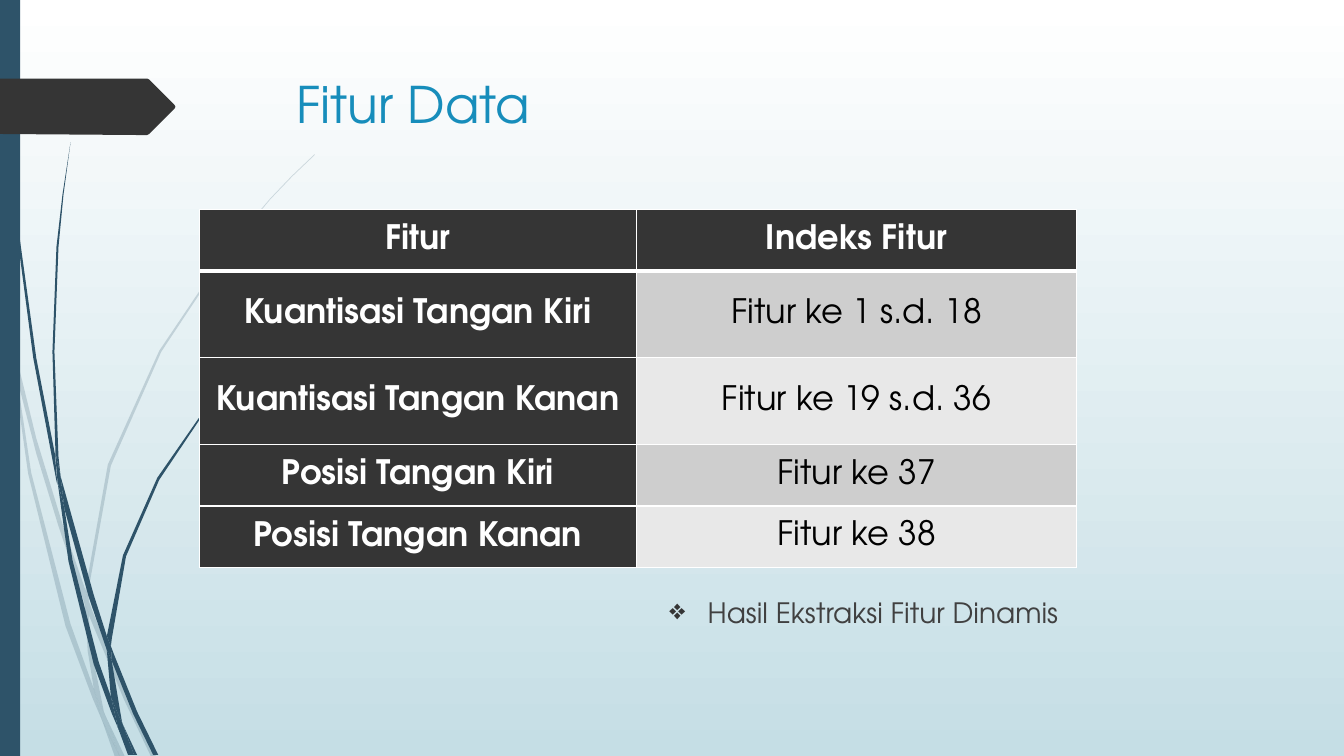
from dataclasses import dataclass

from lxml.etree import SubElement
from pptx import Presentation
from pptx.dml.color import RGBColor
from pptx.enum.shapes import MSO_SHAPE as Preset
from pptx.enum.text import MSO_ANCHOR as Anchor, PP_ALIGN as Align
from pptx.oxml.ns import qn
from pptx.util import Inches, Pt


@dataclass(frozen=True)
class Theme:
    font: str = "TeX Gyre Adventor"
    title_size: int = 36
    table_size: int = 24
    note_size: int = 20
    white: str = "FFFFFF"
    black: str = "000000"
    sky: str = "C5DEE5"
    navy: str = "2E5369"
    dark: str = "353535"
    title: str = "178DBB"
    note: str = "404040"
    bands: tuple = ("CECECE", "E8E8E8")


THEME = Theme()

HEADER = ("Fitur", "Indeks Fitur")
FEATURES = (
    ("Kuantisasi Tangan Kiri", "Fitur ke 1 s.d. 18"),
    ("Kuantisasi Tangan Kanan", "Fitur ke 19 s.d. 36"),
    ("Posisi Tangan Kiri", "Fitur ke 37"),
    ("Posisi Tangan Kanan", "Fitur ke 38"),
)
COLUMN_WIDTHS = (4.33, 4.37)
ROW_HEIGHTS = (0.61, 0.86, 0.86, 0.61, 0.61)

# Outlines in inches, as x,y corners
PALE_GRASS = (
    "0.11,3.5 0.09,3.22 0,2.82 0,2.99 0.1,3.44",
    "0.58,5.22 0.84,5.99 0.85,5.86 0.62,5.2 0.36,4.35 0.14,3.45 0.17,3.76 0.36,4.5",
    "0.92,6.07 0.88,5.96 0.88,6.1 1.23,6.94 1.5,7.51 1.55,7.51 1.27,6.92",
    "1.19,7.51 1.24,7.51 1.05,7.11",
    "0.93,6.83 0.7,6.19 0.31,4.69 0.17,3.76 0.11,3.5 0.28,4.7 0.65,6.21 0.92,6.93 1.01,7.14 0.99,7.07",
    "0.84,5.99 0.87,6.46 0.93,6.83 0.96,6.92 1.05,7.11 1.03,7.06 0.91,6.46 0.88,6.1 0.88,6.08",
    "0.88,5.84 1.1,4.62 1.6,3.49 2.29,2.45 2.68,1.98 2.9,1.75 3.12,1.54 3.12,1.53 "
    "2.89,1.75 2.68,1.97 2.28,2.44 1.58,3.48 1.07,4.61 0.85,5.84 0.85,5.86 0.88,5.96",
    "1.01,7.14 1.14,7.51 1.19,7.51",
    "0.88,6.08 0.88,6.1 0.88,5.96 0.85,5.86 0.84,5.99",
    "0.96,6.92 0.93,6.83 0.99,7.07 1.01,7.14 1.19,7.51 1.05,7.11",
)
DARK_GRASS = (
    "0.07,1.1 0.17,2.33 0.33,3.55 0.56,4.77 0.57,4.81 0.55,4.57 0.55,4.53 0.36,3.55 "
    "0.19,2.32 0.08,1.09 0.05,0.48 0.04,0 0.03,0 0.04,0.48",
    "0.88,5.92 1.06,6.45 1.06,6.31 0.93,5.9 0.6,4.72 0.64,5.05",
    "1.13,6.49 1.1,6.41 1.11,6.56 1.32,7.08 1.52,7.49 1.57,7.49 1.36,7.06",
    "1.1,6.91 0.98,6.57 0.72,5.56 0.64,5.05 0.57,4.77 0.68,5.57 0.93,6.59 1.11,7.08 1.17,7.22 1.16,7.17",
    "0.6,4.72 0.58,4.53 0.54,3.49 0.58,2.45 0.63,1.93 0.7,1.41 0.62,1.93 0.56,2.45 0.52,3.49 0.55,4.49",
    "1.33,7.49 1.36,7.49 1.22,7.19",
    "0.57,4.77 0.64,5.05 0.6,4.72 0.55,4.49 0.55,4.53",
    "1.11,6.33 1.25,5.52 1.58,4.76 2.05,4.06 2.31,3.74 2.45,3.59 2.61,3.44 2.6,3.44 "
    "2.45,3.58 2.31,3.73 2.04,4.05 1.56,4.74 1.22,5.51 1.06,6.31 1.1,6.41",
    "1.17,7.22 1.27,7.49 1.31,7.49",
    "1.06,6.45 1.1,6.91 1.16,7.06 1.22,7.19 1.21,7.16 1.11,6.56 1.09,6.51",
    "1.06,6.45 1.09,6.51 1.11,6.56 1.1,6.41 1.06,6.31",
    "1.16,7.06 1.1,6.91 1.16,7.17 1.17,7.22 1.3,7.49 1.33,7.49 1.22,7.19",
)
TAB = "0,0.78 1.46,0.78 1.48,0.79 1.73,1.04 1.74,1.06 1.73,1.08 1.48,1.33 1.46,1.34 1.36,1.34 0,1.33"


def rgb(colour):
    return RGBColor.from_string(colour)


def paint(shape, colour, opacity=100):
    shape.shadow.inherit = False
    shape.fill.solid()
    shape.fill.fore_color.rgb = rgb(colour)
    shape.line.fill.background()
    if opacity < 100:
        tint = shape.element.spPr.find(qn("a:solidFill")).find(qn("a:srgbClr"))
        SubElement(tint, qn("a:alpha"), val=str(opacity * 1000))


def add_outline(slide, outline, colour, opacity=100):
    corners = [tuple(Inches(float(n)) for n in corner.split(",")) for corner in outline.split()]
    builder = slide.shapes.build_freeform(*corners[0], scale=1.0)
    builder.add_line_segments(corners[1:], close=True)
    paint(builder.convert_to_shape(), colour, opacity)


def style_text(paragraph, size, colour, bold=False):
    font = paragraph.font
    font.name, font.size, font.bold = THEME.font, Pt(size), bold
    font.color.rgb = rgb(colour)


def add_text(slide, text, box, size, colour, bullet=None):
    frame = slide.shapes.add_textbox(*map(Inches, box)).text_frame
    frame.word_wrap = True
    paragraph = frame.paragraphs[0]
    paragraph.text = text
    if bullet:
        props = paragraph._p.get_or_add_pPr()
        props.set("marL", str(Inches(0.38)))
        props.set("indent", str(Inches(-0.38)))
        SubElement(SubElement(props, qn("a:buClr")), qn("a:srgbClr"), val=THEME.dark)
        SubElement(props, qn("a:buChar"), char=bullet)
    style_text(paragraph, size, colour)


def add_border(cell, side, width):
    edge = SubElement(cell._tc.get_or_add_tcPr(), qn("a:ln" + side), w=str(Pt(width)))
    SubElement(SubElement(edge, qn("a:solidFill")), qn("a:srgbClr"), val=THEME.white)


def add_feature_table(slide):
    rows = (HEADER, *FEATURES)
    size = (Inches(sum(COLUMN_WIDTHS)), Inches(sum(ROW_HEIGHTS)))
    table = slide.shapes.add_table(len(rows), len(HEADER), Inches(1.98), Inches(2.08), *size).table
    for column, width in zip(table.columns, COLUMN_WIDTHS):
        column.width = Inches(width)
    for r, texts in enumerate(rows):
        table.rows[r].height = Inches(ROW_HEIGHTS[r])
        for c, text in enumerate(texts):
            cell = table.cell(r, c)
            heading = r == 0 or c == 0
            cell.text = text
            cell.vertical_anchor = Anchor.MIDDLE
            cell.margin_left = cell.margin_right = Inches(0.07)
            cell.margin_top = cell.margin_bottom = 0
            for side in "LRTB":
                add_border(cell, side, 3 if (r, side) in ((0, "B"), (1, "T")) else 1)
            cell.fill.solid()
            cell.fill.fore_color.rgb = rgb(THEME.dark if heading else THEME.bands[(r - 1) % 2])
            paragraph = cell.text_frame.paragraphs[0]
            paragraph.alignment = Align.CENTER
            style_text(paragraph, THEME.table_size, THEME.white if heading else THEME.black, heading)


def add_backdrop(slide):
    sky = slide.background.fill
    sky.gradient()
    sky.gradient_angle = 270
    for stop, colour in zip(sky.gradient_stops, (THEME.white, THEME.sky)):
        stop.color.rgb = rgb(colour)
    for blades, opacity in ((PALE_GRASS, 20), (DARK_GRASS, 100)):
        for blade in blades:
            add_outline(slide, blade, THEME.navy, opacity)
    side_bar = slide.shapes.add_shape(Preset.RECTANGLE, 0, 0, Inches(0.2), Inches(7.5))
    paint(side_bar, THEME.navy)
    add_outline(slide, TAB, THEME.dark)


def main():
    deck = Presentation()
    deck.slide_width, deck.slide_height = Inches(13.33), Inches(7.5)
    slide = deck.slides.add_slide(deck.slide_layouts[6])
    add_backdrop(slide)
    # Title, table and closing remark
    add_text(slide, "Fitur Data", (2.84, 0.68, 9.75, 1.4), THEME.title_size, THEME.title)
    add_feature_table(slide)
    add_text(slide, "Hasil Ekstraksi Fitur Dinamis", (6.54, 5.86, 4.15, 0.74),
             THEME.note_size, THEME.note, bullet="❖")
    deck.save("out.pptx")


if __name__ == "__main__":
    main()
